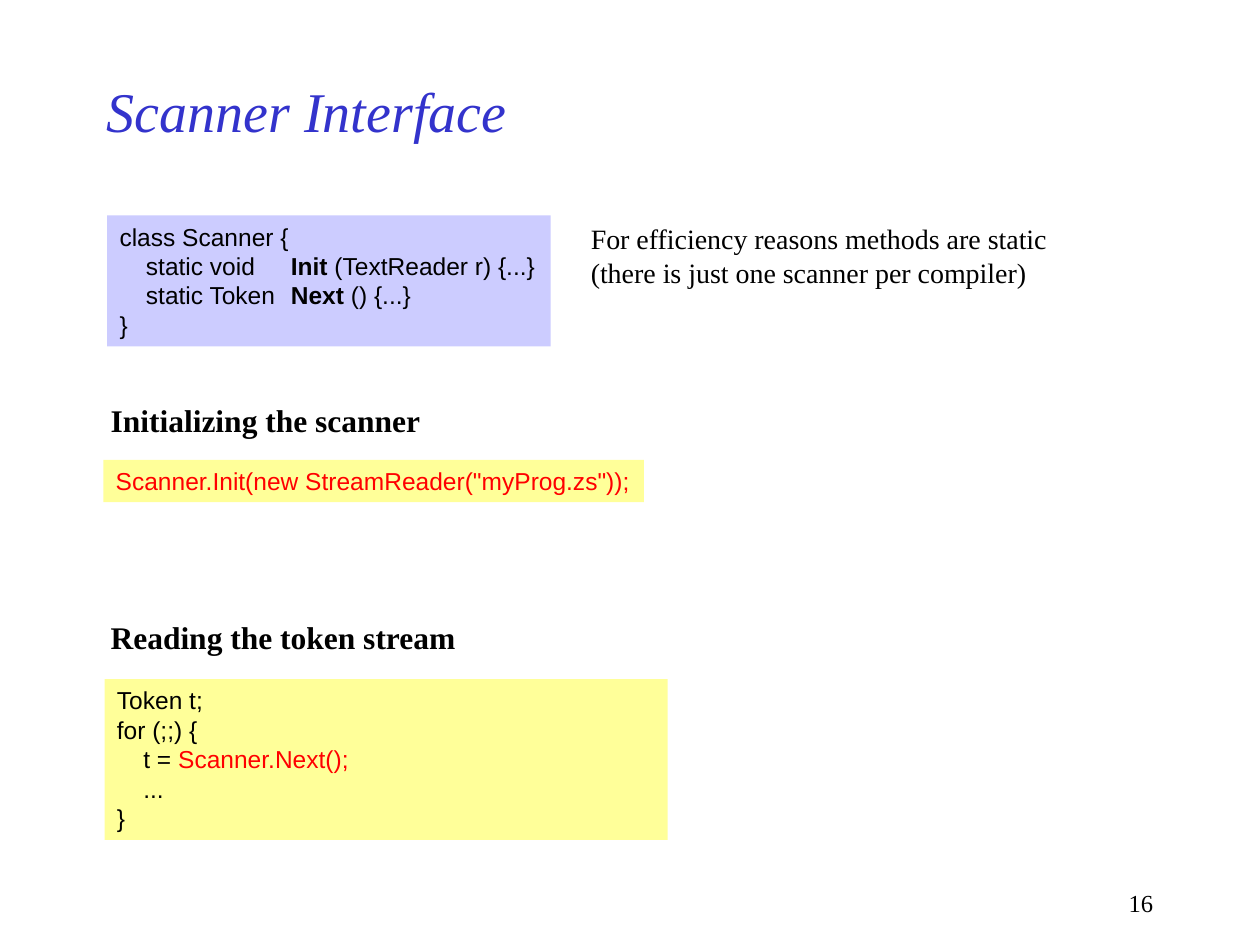
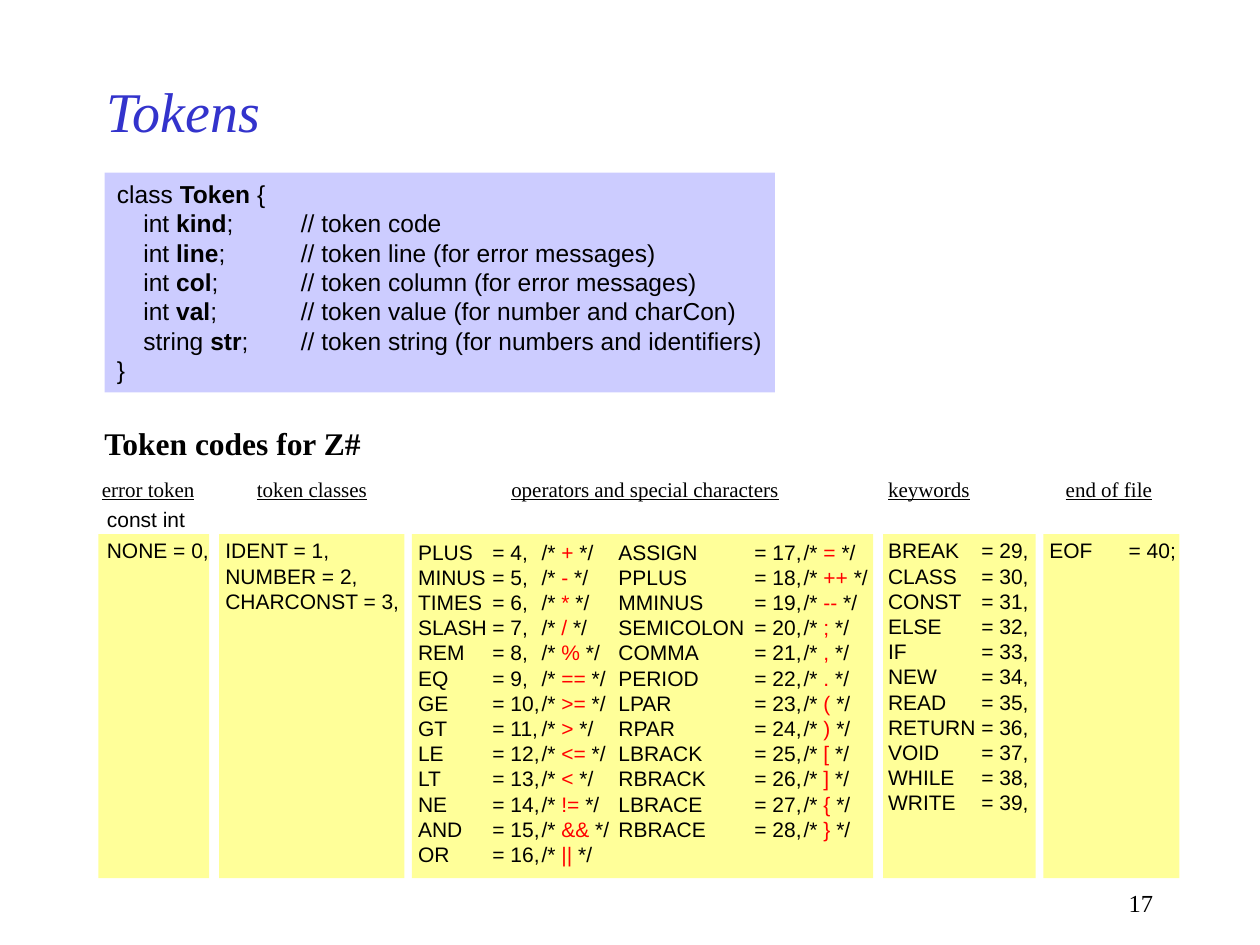
import pptx
import pptx.dml.color
import pptx.enum.shapes
import pptx.enum.text
import pptx.util
from lxml import etree
from pptx.oxml.ns import qn

Inches = pptx.util.Inches
Align = pptx.enum.text.PP_ALIGN
Anchor = pptx.enum.text.MSO_ANCHOR
AutoSize = pptx.enum.text.MSO_AUTO_SIZE

# Shared look
COLOURS = {"black": "000000", "blue": "3333CC", "red": "FF0000",
           "lilac": "CCCCFF", "yellow": "FFFF99"}
SERIF, SANS = "Times New Roman", "Arial"
STYLES = {
    "title": {"name": SERIF, "size": 32, "italic": True, "colour": "blue"},
    "heading": {"name": SERIF, "size": 18, "bold": True},
    "remark": {"name": SERIF, "size": 16},
    "number": {"name": SERIF, "size": 14},
    "label": {"name": SERIF, "size": 12, "underline": True},
    "code": {"name": SANS, "size": 14},
    "call": {"name": SANS, "size": 14, "colour": "red"},
    "token": {"name": SANS, "size": 12},
}
LINE_HEIGHT = {12: 0.2, 14: 0.235, 16: 0.27, 18: 0.3}
BOLD, RED = {"bold": True}, {"colour": "red"}
TITLE_AREA = (0.75, 0.5, 7.5, 0.75)
NUMBER_AREA = (7.17, 7, 2.08, 0.33)

# Content: a line is a list of (text, changes to the style)
SCANNER_CLASS = [
    [("class Scanner {", {})],
    [("\tstatic void\t", {}), ("Init", BOLD), (" (TextReader r) {...}", {})],
    [("\tstatic Token\t", {}), ("Next", BOLD), (" () {...}", {})],
    [("}", {})],
]
REMARK = [
    [("For efficiency reasons methods are static", {})],
    [("(there is just one scanner per compiler)", {})],
]
INIT_CALL = [[("Scanner.Init(new StreamReader(\"myProg.zs\"));", {})]]
READ_LOOP = [
    [("Token t;", {})],
    [("for (;;) {", {})],
    [("\tt = ", {}), ("Scanner.Next();", RED)],
    [("\t...", {})],
    [("}", {})],
]
TOKEN_FIELDS = [
    ("int", "kind", "token code"),
    ("int", "line", "token line (for error messages)"),
    ("int", "col", "token column (for error messages)"),
    ("int", "val", "token value (for number and charCon)"),
    ("string", "str", "token string (for numbers and identifiers)"),
]
OPERATORS = [
    ("PLUS", "+"), ("MINUS", "-"), ("TIMES", "*"), ("SLASH", "/"), ("REM", "%"),
    ("EQ", "=="), ("GE", ">="), ("GT", ">"), ("LE", "<="), ("LT", "<"),
    ("NE", "!="), ("AND", "&&"), ("OR", "||"),
]
SPECIALS = [
    ("ASSIGN", "="), ("PPLUS", "++"), ("MMINUS", "--"), ("SEMICOLON", ";"),
    ("COMMA", ","), ("PERIOD", "."), ("LPAR", "("), ("RPAR", ")"),
    ("LBRACK", "["), ("RBRACK", "]"), ("LBRACE", "{"), ("RBRACE", "}"),
]
KEYWORDS = ["BREAK", "CLASS", "CONST", "ELSE", "IF", "NEW", "READ", "RETURN",
            "VOID", "WHILE", "WRITE"]

# Token table: panels as (left, width), labels as (left, width, text)
PANEL_TOP, PANEL_HEIGHT = 4.24, 2.73
PANELS = [(0.78, 0.88), (1.74, 1.47), (3.27, 3.66), (7.01, 1.21), (8.28, 1.08)]
LABEL_TOP = 3.73
LABELS = [
    (0.71, 0.97, "error token"),
    (1.94, 1.11, "token classes"),
    (3.96, 2.36, "operators and special characters"),
    (6.95, 0.89, "keywords"),
    (8.36, 0.92, "end of file"),
]
# Columns in code order: left, top, width, tab stops, symbols, closing mark
COLUMNS = [
    (0.75, 4.22, 1.03, (), ["NONE"], ","),
    (1.69, 4.22, 1.6, (), ["IDENT", "NUMBER", "CHARCONST"], ","),
    (3.22, 4.23, 1.74, (0.59, 0.98), OPERATORS, ","),
    (4.81, 4.23, 2.2, (1.08, 1.47), SPECIALS, ","),
    (6.95, 4.22, 1.35, (0.74,), KEYWORDS, ","),
    (8.23, 4.22, 1.24, (0.63,), ["EOF"], ";"),
]


def rgb(name):
    return pptx.dml.color.RGBColor.from_string(COLOURS[name])


def add_panel(page, area, fill):
    box = page.shapes.add_shape(pptx.enum.shapes.MSO_SHAPE.RECTANGLE,
                                *map(Inches, area))
    box.shadow.inherit = False
    box.fill.solid()
    box.fill.fore_color.rgb = rgb(fill)
    box.line.fill.background()
    return box


def format_span(span, style):
    values = {"colour": "black", **style}
    span.font.color.rgb = rgb(values.pop("colour"))
    values["size"] = pptx.util.Pt(values["size"])
    for key, value in values.items():
        setattr(span.font, key, value)


def set_tabs(para, stops):
    tabs = etree.SubElement(para._p.get_or_add_pPr(), qn("a:tabLst"))
    for stop in stops:
        etree.SubElement(tabs, qn("a:tab"), pos=str(Inches(stop)), algn="l")


def fill_text(box, style, lines, stops=(), align=Align.LEFT, **frame_format):
    frame = box.text_frame
    settings = {"word_wrap": False, "auto_size": AutoSize.SHAPE_TO_FIT_TEXT,
                "vertical_anchor": Anchor.TOP, **frame_format}
    for key, value in settings.items():
        setattr(frame, key, value)
    for index, line in enumerate(lines):
        para = frame.add_paragraph() if index else frame.paragraphs[0]
        para.alignment = align
        if stops:
            set_tabs(para, stops)
        for text, changes in line:
            span = para.add_run()
            span.text = text
            format_span(span, {**STYLES[style], **changes})


def add_block(page, left, top, width, style, lines, fill=None, **options):
    """Text whose height follows from its number of lines."""
    height = 0.1 + len(lines) * LINE_HEIGHT[STYLES[style]["size"]]
    area = (left, top, width, height)
    if fill:
        box = add_panel(page, area, fill)
    else:
        box = page.shapes.add_textbox(*map(Inches, area))
    fill_text(box, style, lines, **options)


def add_page(deck, title, number):
    page = deck.slides.add_slide(deck.slide_layouts[6])
    fixed = {"word_wrap": True, "auto_size": AutoSize.NONE}
    fill_text(page.shapes.add_textbox(*map(Inches, TITLE_AREA)), "title",
              [[(title, {})]], vertical_anchor=Anchor.MIDDLE, **fixed)
    fill_text(page.shapes.add_textbox(*map(Inches, NUMBER_AREA)), "number",
              [[(str(number), {})]], align=Align.RIGHT, **fixed)
    return page


def token_line(symbol, code, stops, mark):
    name, sign = symbol if isinstance(symbol, tuple) else (symbol, None)
    # RETURN already reaches its tab stop
    gap = "\t" if stops and name != "RETURN" else " "
    text = f"{name}{gap}= {code}{mark}"
    if sign is None:
        return [(text, {})]
    return [(text + "\t/* ", {}), (sign, RED), (" */", {})]


def build_scanner_page(deck):
    page = add_page(deck, "Scanner Interface", 16)
    add_block(page, 0.85, 1.71, 3.52, "code", SCANNER_CLASS, "lilac",
              stops=(0.21, 1.36))
    add_block(page, 4.59, 1.71, 3.82, "remark", REMARK)
    add_block(page, 0.78, 3.13, 2.66, "heading",
              [[("Initializing the scanner", {})]])
    add_block(page, 0.82, 3.65, 4.29, "call", INIT_CALL, "yellow")
    add_block(page, 0.78, 4.86, 2.94, "heading",
              [[("Reading the token stream", {})]])
    add_block(page, 0.83, 5.39, 4.47, "code", READ_LOOP, "yellow",
              stops=(0.21,), word_wrap=True)


def build_tokens_page(deck):
    page = add_page(deck, "Tokens", 17)

    # Token class
    fields = [[(f"\t{kind} ", {}), (name, BOLD), (f";\t// {meaning}", {})]
              for kind, name, meaning in TOKEN_FIELDS]
    token_class = [[("class ", {}), ("Token", BOLD), (" {", {})],
                   *fields, [("}", {})]]
    add_block(page, 0.83, 1.37, 5.32, "code", token_class, "lilac",
              stops=(0.21, 1.46))

    # Token codes
    add_block(page, 0.73, 3.32, 2.26, "heading",
              [[("Token codes for Z#", {})]])
    for left, width in PANELS:
        add_panel(page, (left, PANEL_TOP, width, PANEL_HEIGHT), "yellow")
    for left, width, label in LABELS:
        add_block(page, left, LABEL_TOP, width, "label", [[(label, {})]])
    add_block(page, 0.75, 3.97, 0.82, "token", [[("const int", {})]])
    first_code = 0
    for left, top, width, stops, symbols, mark in COLUMNS:
        lines = [token_line(symbol, code, stops, mark)
                 for code, symbol in enumerate(symbols, first_code)]
        add_block(page, left, top, width, "token", lines, stops=stops)
        first_code += len(symbols)


def main():
    deck = pptx.Presentation()
    deck.slide_width, deck.slide_height = Inches(10), Inches(7.5)
    build_scanner_page(deck)
    build_tokens_page(deck)
    deck.save("out.pptx")


if __name__ == "__main__":
    main()
